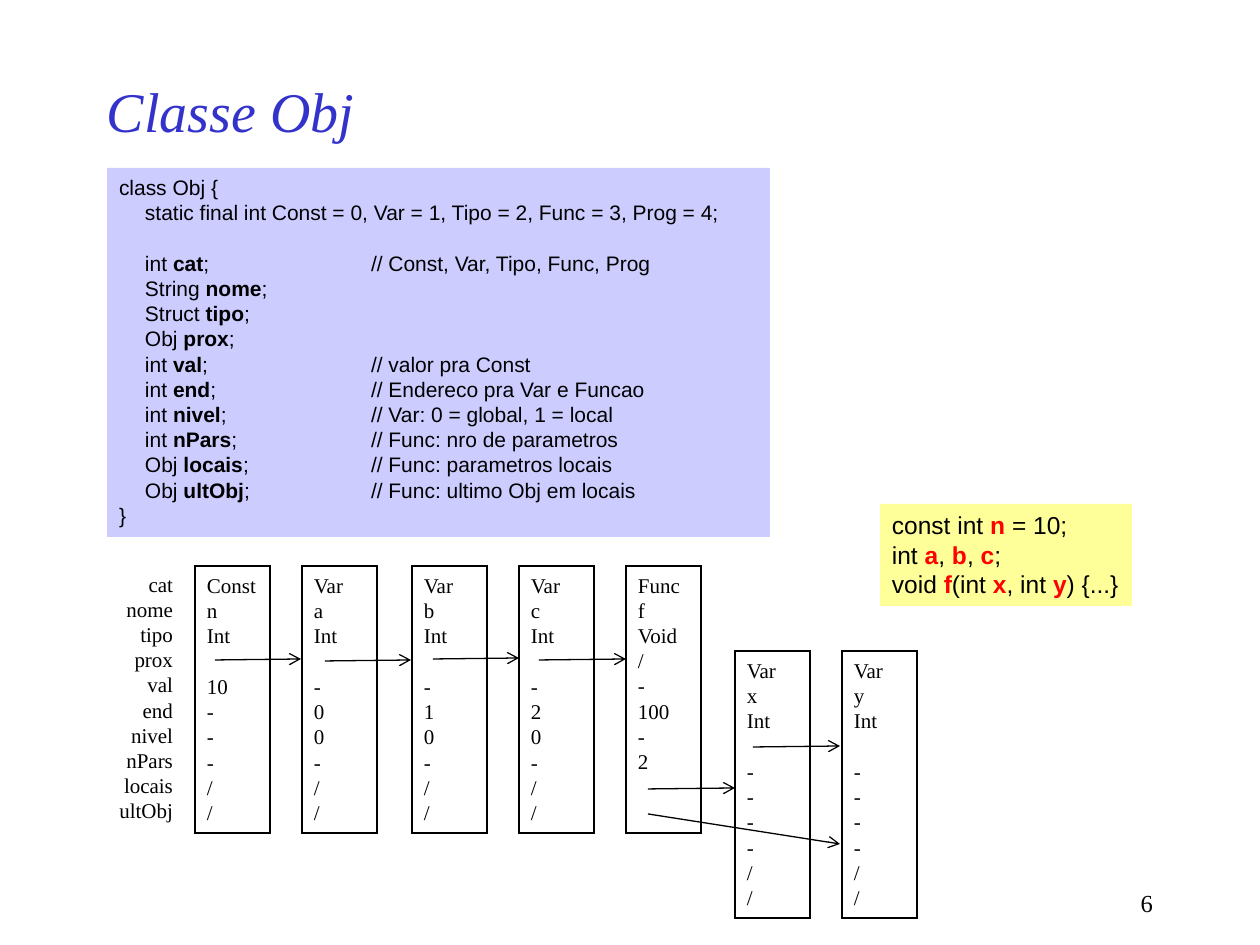
from dataclasses import dataclass
from typing import Optional

from lxml import etree
from pptx import Presentation
from pptx import util as u
from pptx.dml.color import RGBColor
from pptx.enum import shapes, text
from pptx.oxml import ns

PX = 914400 // 126
SERIF, SANS = "Times New Roman", "Arial"
BLACK, RED, BLUE = "000000", "FF0000", "3333CC"
LINE_PT = 14.7


@dataclass
class Box:
    left: int
    top: int
    width: int
    height: int
    lines: list[str]
    font: str = SERIF
    size: int = 12
    color: str = BLACK
    strong: str = BLACK
    fill: Optional[str] = None
    outline: bool = False
    italic: bool = False
    right: bool = False
    middle: bool = False
    wrap: bool = True
    inset: int = 12
    tabs: tuple[int, ...] = ()


@dataclass
class Arrow:
    x1: int
    y1: int
    x2: int
    y2: int


def px(n: int) -> u.Emu:
    return u.Emu(n * PX)


def rgb(value: str) -> RGBColor:
    return RGBColor.from_string(value)


def add_tabs(p, stops: tuple[int, ...]) -> None:
    tabs = etree.SubElement(p._p.get_or_add_pPr(), ns.qn("a:tabLst"))
    for stop in stops:
        etree.SubElement(tabs, ns.qn("a:tab"), pos=str(px(stop)), algn="l")


def write_lines(tf, box: Box) -> None:
    p, gap = None, 0
    for line in box.lines:
        if not line:
            gap += 1
            continue
        p = tf.add_paragraph() if p else tf.paragraphs[0]
        p.alignment = text.PP_ALIGN.RIGHT if box.right else text.PP_ALIGN.LEFT
        if gap:
            p.space_before = u.Pt(gap * LINE_PT)
            gap = 0
        if box.tabs:
            add_tabs(p, box.tabs)
        for i, part in enumerate(line.split("*")):
            if part:
                r = p.add_run()
                r.text = part
                r.font.name, r.font.size = box.font, u.Pt(box.size)
                r.font.bold, r.font.italic = i % 2 == 1, box.italic
                r.font.color.rgb = rgb(box.strong if i % 2 else box.color)


def add_box(s, box: Box) -> None:
    place = [px(n) for n in (box.left, box.top, box.width, box.height)]
    if box.fill or box.outline:
        sp = s.shapes.add_shape(shapes.MSO_SHAPE.RECTANGLE, *place)
        sp.shadow.inherit = False
        if box.fill:
            sp.fill.solid()
            sp.fill.fore_color.rgb = rgb(box.fill)
        else:
            sp.fill.background()
        if box.outline:
            sp.line.color.rgb = rgb(BLACK)
            sp.line.width = u.Pt(0.75)
            etree.SubElement(sp.line._get_or_add_ln(), ns.qn("a:miter"), lim="800000")
        else:
            sp.line.fill.background()
    else:
        sp = s.shapes.add_textbox(*place)
    tf = sp.text_frame
    tf.word_wrap = box.wrap
    tf.margin_left = tf.margin_right = px(box.inset)
    tf.margin_top = tf.margin_bottom = u.Inches(0.05)
    tf.vertical_anchor = text.MSO_ANCHOR.MIDDLE if box.middle else text.MSO_ANCHOR.TOP
    write_lines(tf, box)


def add_arrow(s, a: Arrow) -> None:
    c = s.shapes.add_connector(
        shapes.MSO_CONNECTOR.STRAIGHT, px(a.x1), px(a.y1), px(a.x2), px(a.y2)
    )
    c.line.color.rgb = rgb(BLACK)
    c.line.width = u.Pt(0.75)
    etree.SubElement(c.line._get_or_add_ln(), ns.qn("a:tailEnd"), type="arrow")
    etree.SubElement(c._element.spPr, ns.qn("a:effectLst"))


def record(left: int, top: int, fields: str) -> Box:
    return Box(left, top, 75, 267, fields.split(","), outline=True, wrap=False)


FIELDS = [
    ("int", "cat", "Const, Var, Tipo, Func, Prog"),
    ("String", "nome", ""),
    ("Struct", "tipo", ""),
    ("Obj", "prox", ""),
    ("int", "val", "valor pra Const"),
    ("int", "end", "Endereco pra Var e Funcao"),
    ("int", "nivel", "Var: 0 = global, 1 = local"),
    ("int", "nPars", "Func: nro de parametros"),
    ("Obj", "locais", "Func: parametros locais"),
    ("Obj", "ultObj", "Func: ultimo Obj em locais"),
]
CODE = [
    "class Obj {",
    "\tstatic final int Const = 0, Var = 1, Tipo = 2, Func = 3, Prog = 4;",
    "",
    *(f"\t{kind} *{name}*;" + (f"\t// {note}" if note else "") for kind, name, note in FIELDS),
    "}",
]
SAMPLE = [
    "const int *n* = 10;",
    "int *a*, *b*, *c*;",
    "void *f*(int *x*, int *y*) {...}",
]
BOXES = [
    Box(903, 882, 262, 42, ["6"], size=14, right=True),
    Box(95, 63, 945, 95, ["Classe Obj"], size=32, color=BLUE, italic=True, middle=True),
    Box(107, 168, 663, 369, CODE, font=SANS, fill="CCCCFF", tabs=(26, 252)),
    Box(880, 504, 252, 102, SAMPLE, font=SANS, size=14, strong=RED, fill="FFFF99"),
    Box(106, 565, 79, 267, [name for _, name, _ in FIELDS], right=True, wrap=False),
    record(195, 566, "Const,n,Int,,10,-,-,-,/,/"),
    record(302, 566, "Var,a,Int,,-,0,0,-,/,/"),
    record(412, 566, "Var,b,Int,,-,1,0,-,/,/"),
    record(519, 566, "Var,c,Int,,-,2,0,-,/,/"),
    record(626, 566, "Func,f,Void,/,-,100,-,2"),
    record(735, 651, "Var,x,Int,,-,-,-,-,/,/"),
    record(842, 651, "Var,y,Int,,-,-,-,-,/,/"),
]
ARROWS = [
    Arrow(215, 660, 301, 659),
    Arrow(325, 661, 411, 660),
    Arrow(433, 659, 519, 658),
    Arrow(539, 660, 626, 659),
    Arrow(648, 789, 735, 788),
    Arrow(648, 814, 840, 844),
    Arrow(753, 747, 840, 746),
]

prs = Presentation()
prs.slide_width, prs.slide_height = u.Inches(10), u.Inches(7.5)
s = prs.slides.add_slide(prs.slide_layouts[6])
for box in BOXES:
    add_box(s, box)
for arrow in ARROWS:
    add_arrow(s, arrow)
prs.save("out.pptx")
